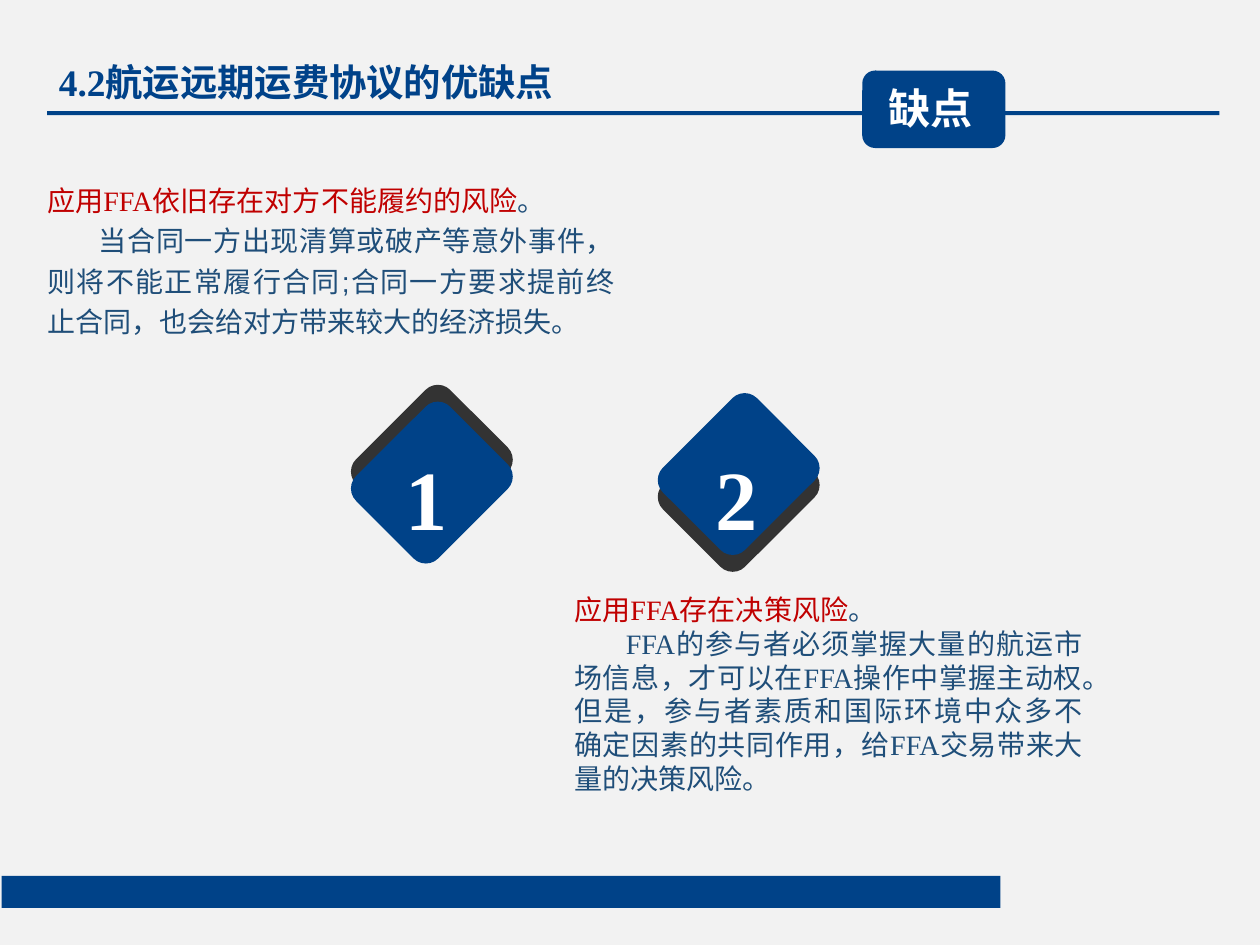
from pptx import Presentation
from pptx import util as u
from pptx.dml.color import RGBColor
from pptx.enum import shapes, text

Pt = u.Pt
COLORS = {"page": "F2F2F2", "blue": "004288", "title": "004289", "dark": "333333",
          "red": "C00000", "body": "1F4E79", "white": "FFFFFF"}
SERIF, SANS, LABEL = "Times New Roman", "Arial", "Calibri"

TITLE = [("4.2", SERIF, "title"), ("航运远期运费协议的优缺点", SANS, "title")]
TAB = [("缺点", LABEL, "white")]
RISKS = [
    {"at": (20.2, 75.6, 242.6, 69.8), "spacing": 1.2,
     "heading": [("应用", SANS, "red"), ("FFA", SERIF, "red"),
                 ("依旧存在对方不能履约的风险", SANS, "red"), ("。", SANS, "body")],
     "detail": [("当合同一方出现清算或破产等意外事件，则将不能正常履行合同;合同一方要求提前终止合同，"
                 "也会给对方带来较大的经济损失。", SANS, "body")]},
    {"at": (245.5, 253.4, 217.4, 87.1), "spacing": 1.0,
     "heading": [("应用FFA存在决策风险", SERIF, "red"), ("。", SERIF, "body")],
     "detail": [("FFA的参与者必须掌握大量的航运市场信息，才可以在FFA操作中掌握主动权。但是，"
                 "参与者素质和国际环境中众多不 确定因素的共同作用，给FFA交易带来大量的决策风险。",
                 SERIF, "body")]},
]
BADGES = [
    {"number": "1", "left": 156.2, "dark_top": 174.2, "blue_top": 181.4,
     "turn": 315, "text_left": 166.3},
    {"number": "2", "left": 287.3, "dark_top": 185, "blue_top": 177.8,
     "turn": 135, "text_left": 298.8},
]
BADGE_SIZE = (56.9, 49.7)
NUMBER_TOP, NUMBER_SIZE = 194.5, (40.3, 36)
BARS = [(0.7, 374.4, 427, 13.7), (20.2, 47.5, 501.1, 1.7)]
TAB_AT = (368.6, 30.2, 61.2, 33.1)
INDENT = 22


def color(name):
    return RGBColor.from_string(COLORS[name])


def add_block(page, kind, at, fill):
    block = page.shapes.add_shape(kind, *map(Pt, at))
    block.shadow.inherit = False
    block.fill.solid()
    block.fill.fore_color.rgb = color(fill)
    block.line.fill.background()
    return block


def set_frame(frame, margins, wrap=True, anchor=text.MSO_ANCHOR.TOP):
    frame.auto_size = text.MSO_AUTO_SIZE.NONE
    frame.word_wrap = wrap
    frame.vertical_anchor = anchor
    (frame.margin_left, frame.margin_top,
     frame.margin_right, frame.margin_bottom) = map(Pt, margins)


def add_spans(para, spans, size, bold=False, align=text.PP_ALIGN.LEFT):
    para.alignment = align
    for words, font, shade in spans:
        span = para.add_run()
        span.text = words
        span.font.name = font
        span.font.size = Pt(size)
        span.font.bold = bold
        span.font.color.rgb = color(shade)


def add_title(page):
    title = page.shapes.title
    title.left, title.top, title.width, title.height = map(Pt, (20.2, 22.3, 260, 24.5))
    set_frame(title.text_frame, (5, 2.9, 5, 2.9), wrap=False)
    add_spans(title.text_frame.paragraphs[0], TITLE, 16, True)


def add_badge(page, badge):
    for fill in ("dark", "blue"):
        tile = add_block(page, shapes.MSO_SHAPE.ROUNDED_RECTANGLE,
                         (badge["left"], badge[fill + "_top"], *BADGE_SIZE), fill)
        tile.adjustments[0] = 0.15
        tile.rotation = badge["turn"]
    box = page.shapes.add_textbox(*map(Pt, (badge["text_left"], NUMBER_TOP, *NUMBER_SIZE)))
    set_frame(box.text_frame, (7.2, 3.6, 7.2, 3.6), anchor=text.MSO_ANCHOR.MIDDLE)
    add_spans(box.text_frame.paragraphs[0], [(badge["number"], SERIF, "white")], 36, True)


def add_risk(page, risk):
    box = page.shapes.add_textbox(*map(Pt, risk["at"]))
    frame = box.text_frame
    set_frame(frame, (0, 0, 0, 0))
    heading, detail = frame.paragraphs[0], frame.add_paragraph()
    for para, spans in ((heading, risk["heading"]), (detail, risk["detail"])):
        para.line_spacing = risk["spacing"]
        add_spans(para, spans, 12, align=text.PP_ALIGN.JUSTIFY)
    detail._p.get_or_add_pPr().set("indent", str(Pt(INDENT)))


def main():
    deck = Presentation()
    deck.slide_width, deck.slide_height = Pt(538.6), Pt(403.9)
    page = deck.slides.add_slide(deck.slide_layouts[5])
    page.background.fill.solid()
    page.background.fill.fore_color.rgb = color("page")
    for at in BARS:
        add_block(page, shapes.MSO_SHAPE.RECTANGLE, at, "blue")
    add_title(page)
    for badge in BADGES:
        add_badge(page, badge)
    for risk in RISKS:
        add_risk(page, risk)
    tab = add_block(page, shapes.MSO_SHAPE.ROUNDED_RECTANGLE, TAB_AT, "blue")
    set_frame(tab.text_frame, (9.4, 3.6, 5, 2.9))
    add_spans(tab.text_frame.paragraphs[0], TAB, 18, True)
    deck.save("out.pptx")


if __name__ == "__main__":
    main()
